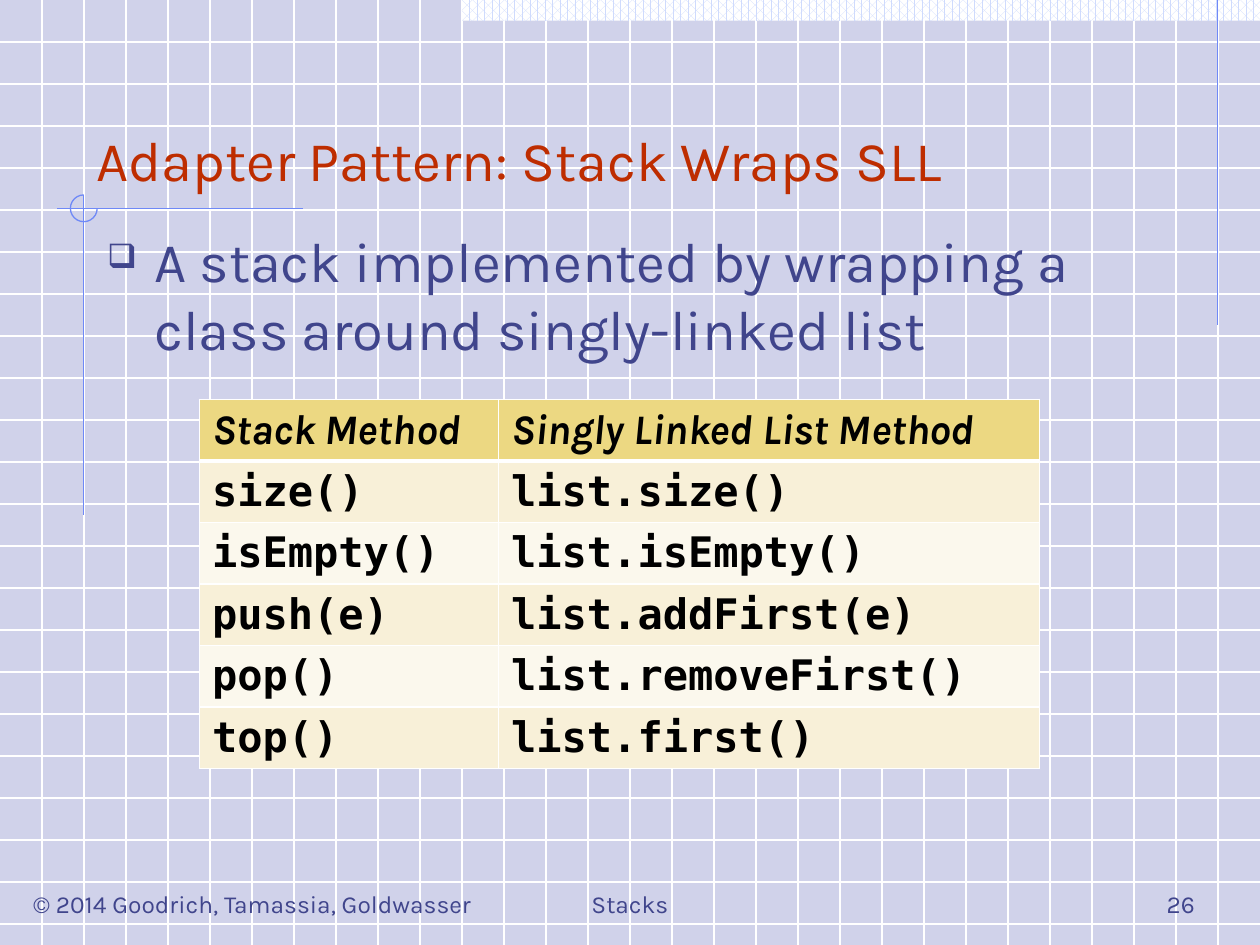
from lxml import etree
from pptx import Presentation
from pptx.dml.color import RGBColor
from pptx.enum.dml import MSO_PATTERN
from pptx.enum.shapes import MSO_CONNECTOR, MSO_SHAPE
from pptx.enum.text import MSO_ANCHOR, MSO_AUTO_SIZE, PP_ALIGN
from pptx.oxml.ns import qn
from pptx.util import Cm, Pt

STRAIGHT = MSO_CONNECTOR.STRAIGHT
RECT, ARC = MSO_SHAPE.RECTANGLE, MSO_SHAPE.ARC
DOTS = MSO_PATTERN.PERCENT_60
TOP, BOTTOM = MSO_ANCHOR.TOP, MSO_ANCHOR.BOTTOM
LEFT, CENTER, RIGHT = PP_ALIGN.LEFT, PP_ALIGN.CENTER, PP_ALIGN.RIGHT
FIXED = MSO_AUTO_SIZE.NONE

PAPER = RGBColor(0xD0, 0xD2, 0xEA)
PALE = RGBColor(0xCF, 0xDB, 0xFD)
WHITE = RGBColor(0xFF, 0xFF, 0xFF)
BLACK = RGBColor(0, 0, 0)
BLUE = RGBColor(0x6F, 0x89, 0xF7)
RED = RGBColor(0xBE, 0x2D, 0x00)
INDIGO = RGBColor(0x40, 0x45, 0x8C)
GOLD = RGBColor(0xEC, 0xD8, 0x82)
BANDS = RGBColor(0xFB, 0xF8, 0xED), RGBColor(0xF8, 0xF0, 0xD8)

SANS, MONO = "Karla", "DejaVu Sans Mono"
WIDE, HIGH = 25.4, 19.05
STEP = WIDE / 30

ROWS = [
    ("Stack Method", "Singly Linked List Method"),
    ("size()", "list.size()"),
    ("isEmpty()", "list.isEmpty()"),
    ("push(e)", "list.addFirst(e)"),
    ("pop()", "list.removeFirst()"),
    ("top()", "list.first()"),
]
COLS = 6.03, 10.91
ROW = 1.23


def dots(fill):
    fill.patterned()
    fill.pattern = DOTS
    fill.fore_color.rgb = PALE
    fill.back_color.rgb = WHITE


def rule(slide, x1, y1, x2, y2, color=None):
    """Draw a thin line; without a colour it takes the dotted pattern."""
    line = slide.shapes.add_connector(STRAIGHT, Cm(x1), Cm(y1), Cm(x2), Cm(y2))
    line.line.width = Pt(0.75)
    if color is None:
        dots(line.line.fill)
    else:
        line.line.color.rgb = color
    etree.SubElement(line.element.spPr, qn("a:effectLst"))


def write(frame, text, size=14, color=INDIGO, font=SANS, bold=False,
          italic=False, align=LEFT):
    para = frame.paragraphs[0]
    para.alignment = align
    run = para.add_run()
    run.text = text
    face = run.font
    face.name, face.size = font, Pt(size)
    face.bold, face.italic = bold, italic
    face.color.rgb = color
    return para


def place(shape, x, y, w, h, anchor):
    shape.left, shape.top, shape.width, shape.height = map(Cm, (x, y, w, h))
    frame = shape.text_frame
    frame.word_wrap = True
    frame.auto_size = FIXED
    frame.vertical_anchor = anchor
    return frame


def label(slide, x, y, w, h, text, anchor=BOTTOM, **style):
    box = slide.shapes.add_textbox(0, 0, 0, 0)
    return write(place(box, x, y, w, h, anchor), text, **style)


def bullet(para, mark):
    props = para._p.get_or_add_pPr()
    props.set("marL", str(Cm(0.95)))
    props.set("indent", str(Cm(-0.95)))
    tint = etree.SubElement(props, qn("a:buClr"))
    etree.SubElement(tint, qn("a:srgbClr"), val=str(INDIGO))
    etree.SubElement(props, qn("a:buSzPct"), val="60000")
    etree.SubElement(props, qn("a:buChar"), char=mark)


def border(cell, **widths):
    props = cell._tc.get_or_add_tcPr()
    for side in "LRTB":
        edge = etree.SubElement(props, qn("a:ln" + side),
                                w=str(Pt(widths.get(side, 1))))
        fill = etree.SubElement(edge, qn("a:solidFill"))
        etree.SubElement(fill, qn("a:srgbClr"), val=str(WHITE))


def paper(slide):
    slide.background.fill.solid()
    slide.background.fill.fore_color.rgb = PAPER
    for i in range(1, 23):
        rule(slide, 0, i * STEP, WIDE, i * STEP)
    for i in range(1, 30):
        rule(slide, i * STEP, 0, i * STEP, HIGH)


def accents(slide):
    # Dotted strip at the top right
    left = 11 * STEP
    strip = slide.shapes.add_shape(RECT, Cm(left), 0, Cm(WIDE - left), Cm(0.42))
    strip.shadow.inherit = False
    dots(strip.fill)
    strip.line.fill.background()

    # Margin lines
    rule(slide, 24.55, 0, 24.55, 6.55, BLUE)
    rule(slide, 6.1, 4.2, 1.15, 4.2, BLUE)
    rule(slide, 1.69, 3.93, 1.69, 10.39, BLUE)

    # Three quarters of a ring where the lines cross
    ring = slide.shapes.add_shape(ARC, Cm(1.42), Cm(3.93), Cm(0.54), Cm(0.54))
    ring.shadow.inherit = False
    ring.adjustments[0], ring.adjustments[1] = 0, 162
    ring.fill.background()
    ring.line.color.rgb = BLUE
    ring.line.width = Pt(0.75)


def methods(slide):
    table = slide.shapes.add_table(
        len(ROWS), len(COLS), Cm(4.02), Cm(8.05),
        Cm(sum(COLS)), Cm(ROW * len(ROWS))).table
    table.horz_banding = False
    for col, width in zip(table.columns, COLS):
        col.width = Cm(width)
    for r, row in enumerate(ROWS):
        table.rows[r].height = Cm(ROW)
        head = r == 0
        for c, text in enumerate(row):
            cell = table.cell(r, c)
            border(cell, B=3 if head else 1, T=3 if r == 1 else 1)
            cell.fill.solid()
            cell.fill.fore_color.rgb = GOLD if head else BANDS[r % 2]
            write(cell.text_frame, text, size=24, color=BLACK, bold=True,
                  italic=head, font=SANS if head else MONO)


def main():
    deck = Presentation()
    deck.slide_width, deck.slide_height = Cm(WIDE), Cm(HIGH)
    slide = deck.slides.add_slide(deck.slide_layouts[5])
    paper(slide)
    accents(slide)

    # Title, brought in front of the grid
    title = slide.shapes.title
    title.element.getparent().append(title.element)
    write(place(title, 1.69, 0.85, 21.59, 3.17, BOTTOM),
          "Adapter Pattern: Stack Wraps SLL", size=32, color=RED)

    # Body
    para = label(slide, 1.91, 4.45, 21.59, 11.43,
                 "A stack implemented by wrapping a class around "
                 "singly-linked list", anchor=TOP, size=32)
    bullet(para, "❑")
    methods(slide)

    # Footer
    for x, w, text, align in (
            (0.42, 9.53, "© 2014 Goodrich, Tamassia, Goldwasser", LEFT),
            (8.68, 8.04, "Stacks", CENTER),
            (19.05, 5.29, "26", RIGHT)):
        label(slide, x, 17.36, w, 1.27, text, align=align)

    deck.save("out.pptx")


if __name__ == "__main__":
    main()
